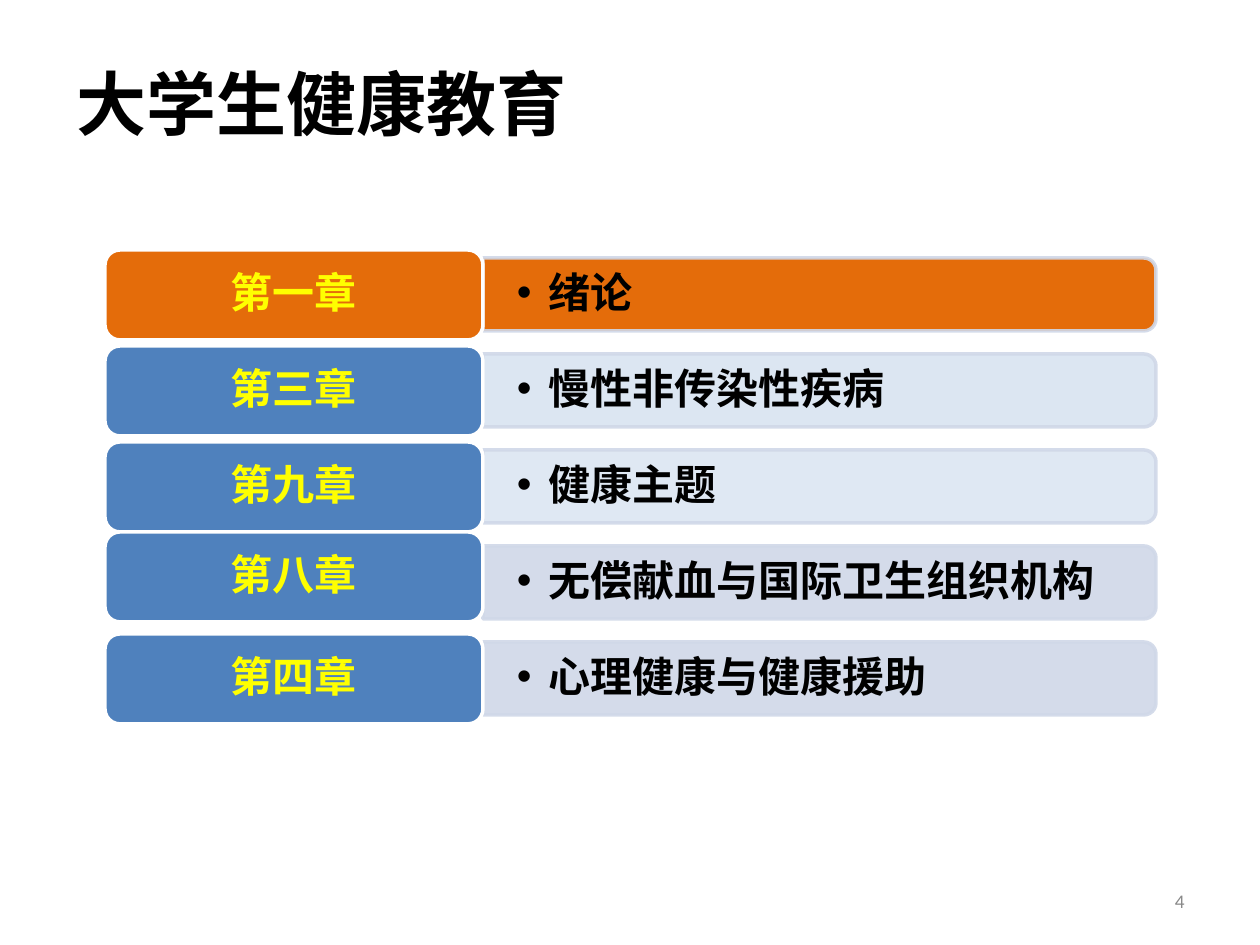
from dataclasses import dataclass

from lxml import etree
from pptx import Presentation
from pptx.dml.color import RGBColor
from pptx.enum import shapes, text
from pptx.oxml import ns
from pptx.util import Emu, Pt

PX = 914400 // 126
CJK = "Noto Sans CJK SC"
ROW_PITCH = 96
TAB_TOP = 250
BAR_TOP = 258


@dataclass
class Chapter:
    number: str
    topic: str
    tab_fill: str
    bar_fill: str
    bar_alpha: int = 100
    tab_shift: int = 0


CHAPTERS = [
    Chapter("第一章", "绪论", "E46C0A", "E46C0A"),
    Chapter("第三章", "慢性非传染性疾病", "4F81BD", "DCE6F2"),
    Chapter("第九章", "健康主题", "4F81BD", "DCE6F2", 90),
    Chapter("第八章", "无偿献血与国际卫生组织机构", "4F81BD", "D0D8E8", 90, -6),
    Chapter("第四章", "心理健康与健康援助", "4F81BD", "D0D8E8", 90),
]


def px(*lengths: int) -> list[Emu]:
    return [Emu(length * PX) for length in lengths]


def paint(fill, colour: str, alpha: int = 100) -> None:
    fill.solid()
    fill.fore_color.rgb = RGBColor.from_string(colour)
    if alpha < 100:
        srgb = fill._xPr.find(".//" + ns.qn("a:srgbClr"))
        etree.SubElement(srgb, ns.qn("a:alpha"), val=str(alpha * 1000))


def add_block(slide, preset, box, fill: str, line: str, fill_alpha=100, line_alpha=100):
    block = slide.shapes.add_shape(preset, *px(*box))
    block.shadow.inherit = False
    paint(block.fill, fill, fill_alpha)
    paint(block.line.fill, line, line_alpha)
    block.line.width = Pt(2)
    return block


def write(frame, words: str, size: int, colour: str, align, spacing: float = 1.0):
    for name, value in {
        "word_wrap": True,
        "auto_size": text.MSO_AUTO_SIZE.NONE,
        "vertical_anchor": text.MSO_ANCHOR.MIDDLE,
    }.items():
        setattr(frame, name, value)
    paragraph = frame.paragraphs[0]
    paragraph.alignment = align
    paragraph.line_spacing = spacing
    run = paragraph.add_run()
    run.text = words
    for name, value in {"size": Pt(size), "bold": True, "name": CJK}.items():
        setattr(run.font, name, value)
    paint(run.font.fill, colour)
    run.font._element.find(ns.qn("a:latin")).addnext(
        etree.Element(ns.qn("a:ea"), typeface=CJK)
    )
    return paragraph


def add_bullet(paragraph) -> None:
    properties = paragraph._p.get_or_add_pPr()
    for name, value in {"lvl": "1", "marL": "228600", "indent": "-228600"}.items():
        properties.set(name, value)
    etree.SubElement(properties, ns.qn("a:buFont"), typeface="Arial")
    etree.SubElement(properties, ns.qn("a:buChar"), char="•")


def add_chapter(slide, row: int, chapter: Chapter) -> None:
    left, top, width, height = 483, BAR_TOP + row * ROW_PITCH, 673, 73
    inset = (width - height) // 2
    bar = add_block(
        slide, shapes.MSO_SHAPE.ROUND_2_SAME_RECTANGLE,
        (left + inset, top - inset, height, width),
        chapter.bar_fill, "D0D8E8", chapter.bar_alpha, 90,
    )
    bar.rotation = 90

    topic = slide.shapes.add_textbox(*px(left, top + 4, 669, 65)).text_frame
    topic.margin_left, topic.margin_right = px(34, 34)
    topic.margin_top, topic.margin_bottom = px(17, 17)
    add_bullet(write(topic, chapter.topic, 24, "000000", text.PP_ALIGN.LEFT, 0.9))

    tab_top = TAB_TOP + row * ROW_PITCH + chapter.tab_shift
    tab = add_block(
        slide, shapes.MSO_SHAPE.ROUNDED_RECTANGLE,
        (105, tab_top, 378, 90), chapter.tab_fill, "FFFFFF",
    )
    write(tab.text_frame, chapter.number, 24, "FFFF00", text.PP_ALIGN.CENTER, 0.9)


def add_slide_number(slide, number: int) -> None:
    frame = slide.shapes.add_textbox(*px(903, 876, 294, 50)).text_frame
    frame.word_wrap = True
    frame.vertical_anchor = text.MSO_ANCHOR.MIDDLE
    paragraph = frame.paragraphs[0]
    paragraph.alignment = text.PP_ALIGN.RIGHT
    run = paragraph.add_run()
    run.text = str(number)
    run.font.size = Pt(11)
    run.font.name = "Calibri"
    paint(run.font.fill, "898989")


def main() -> None:
    deck = Presentation()
    deck.slide_width, deck.slide_height = px(1260, 945)
    slide = deck.slides.add_slide(deck.slide_layouts[5])
    title = slide.shapes.title
    title.left, title.top, title.width, title.height = px(64, 8, 1071, 190)
    write(title.text_frame, "大学生健康教育", 40, "000000", text.PP_ALIGN.LEFT)
    for row, chapter in enumerate(CHAPTERS):
        add_chapter(slide, row, chapter)
    add_slide_number(slide, 4)
    deck.save("out.pptx")


if __name__ == "__main__":
    main()
